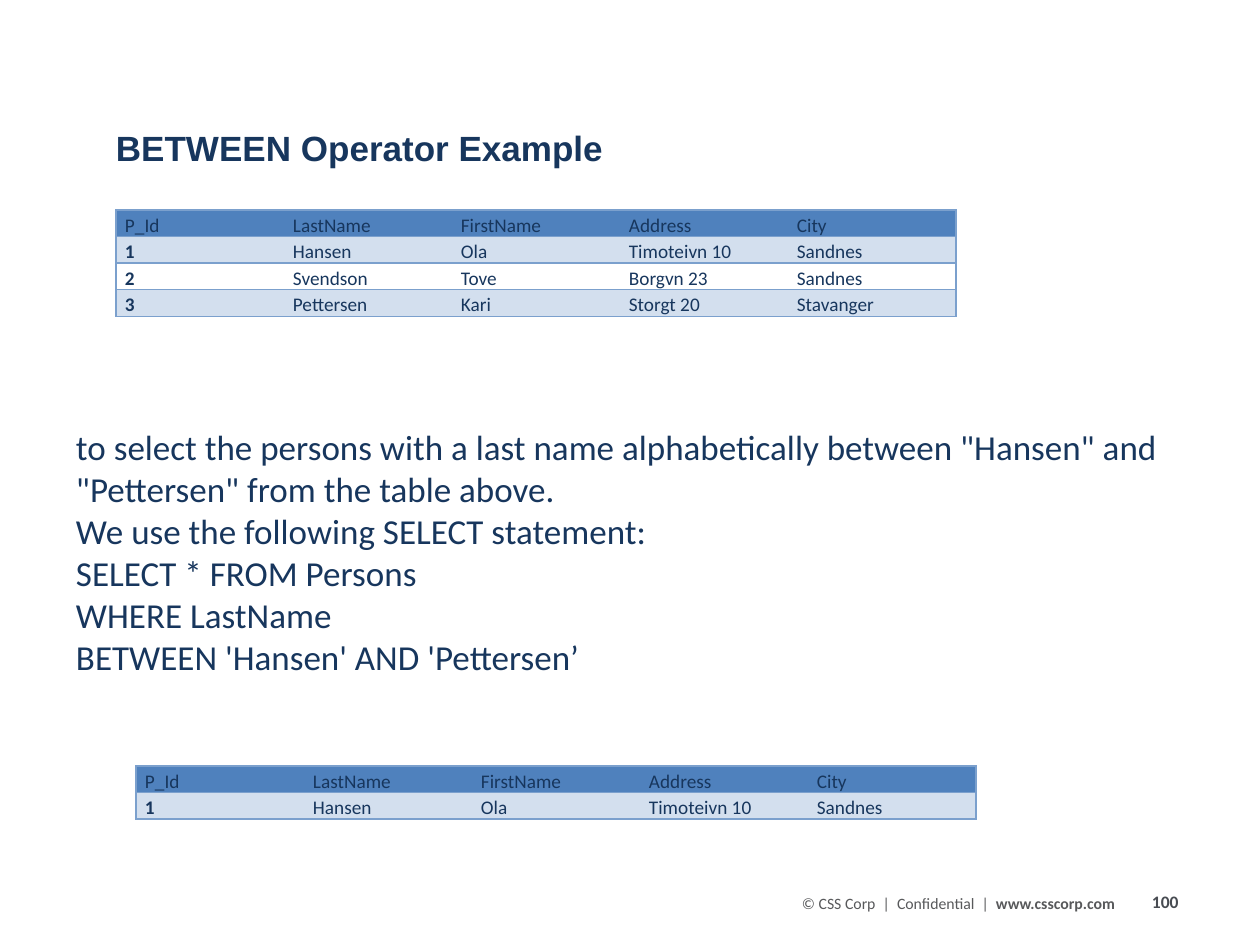
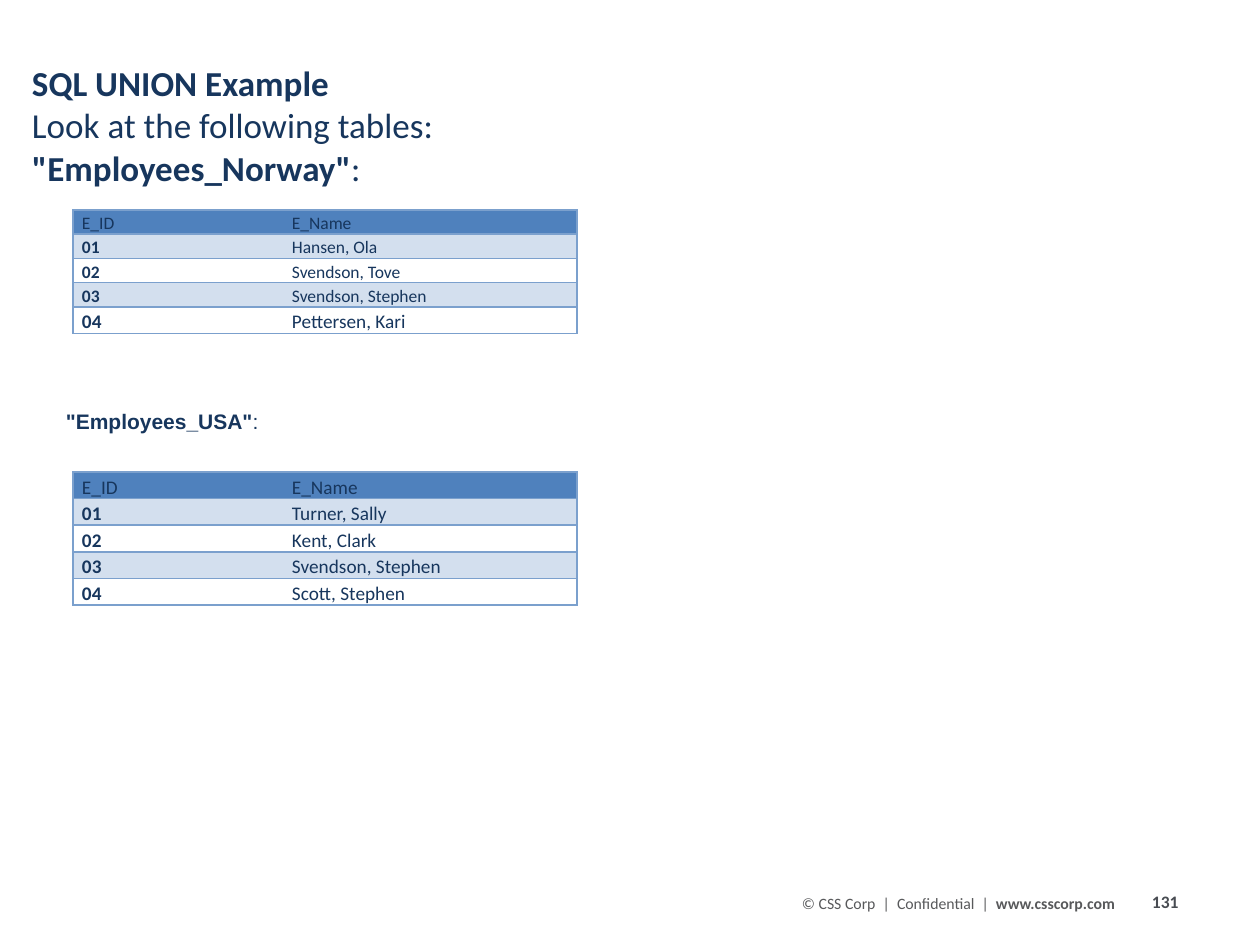
from lxml.etree import SubElement
from pptx import Presentation
from pptx.dml.color import RGBColor as Rgb
from pptx.enum.text import MSO_ANCHOR as Anchor
from pptx.oxml.ns import qn
from pptx.util import Emu, Pt

PX = 914400 / 126
COLORS = {
    "text": "17365D",
    "head": "4F81BD",
    "band": "D3DFEE",
    "rule": "7BA0CD",
    "footer": "58595B",
    "number": "484C52",
}
PERSONS = [
    ("P_Id", "LastName", "FirstName", "Address", "City"),
    ("1", "Hansen", "Ola", "Timoteivn 10", "Sandnes"),
    ("2", "Svendson", "Tove", "Borgvn 23", "Sandnes"),
    ("3", "Pettersen", "Kari", "Storgt 20", "Stavanger"),
]
EMPLOYEES_NORWAY = [
    ("E_ID", "E_Name"),
    ("01", "Hansen, Ola"),
    ("02", "Svendson, Tove"),
    ("03", "Svendson, Stephen"),
    ("04", "Pettersen, Kari"),
]
EMPLOYEES_USA = [
    ("E_ID", "E_Name"),
    ("01", "Turner, Sally"),
    ("02", "Kent, Clark"),
    ("03", "Svendson, Stephen"),
    ("04", "Scott, Stephen"),
]
PERSON_COLUMNS = [168] * 5
EMPLOYEE_COLUMNS = [210, 294]


def px(length):
    return Emu(round(length * PX))


class Deck:
    def __init__(self):
        self.deck = Presentation()
        self.deck.slide_width = px(1260)
        self.deck.slide_height = px(945)
        self.page = None

    def add_page(self, number):
        self.page = self.deck.slides.add_slide(self.deck.slide_layouts[6])
        self.text((1139, 885, 100, 34), [[(number, True)]],
                  size=10, color="number", anchor=Anchor.TOP)
        self.text((789, 888, 388, 31),
                  [[("© CSS Corp  |  Confidential  |  ", False), ("www.csscorp.com", True)]],
                  size=9, color="footer", anchor=Anchor.TOP)

    def span(self, para, words, bold, size, font="Calibri", color="text"):
        span = para.add_run()
        span.text = words
        formats = {"name": font, "size": Pt(size), "bold": bold}
        for name, value in formats.items():
            setattr(span.font, name, value)
        span.font.color.rgb = Rgb.from_string(COLORS[color])

    def text(self, place, paras, size=20, font="Calibri", color="text",
             anchor=Anchor.MIDDLE, inset=13):
        box = self.page.shapes.add_textbox(*map(px, place))
        frame = box.text_frame
        formats = {
            "word_wrap": True,
            "vertical_anchor": anchor,
            "margin_left": px(inset),
            "margin_right": px(inset),
            "margin_top": px(6),
            "margin_bottom": px(6),
        }
        for name, value in formats.items():
            setattr(frame, name, value)
        for index, spans in enumerate(paras):
            para = frame.add_paragraph() if index else frame.paragraphs[0]
            for words, bold in spans:
                for line, part in enumerate(words.split("\n")):
                    if line:
                        para.add_line_break()
                    self.span(para, part, bold, size, font, color)

    def borders(self, cell, sides):
        properties = cell._tc.get_or_add_tcPr()
        for side in "LRTB":
            line = SubElement(properties, qn(f"a:ln{side}"), w=str(Pt(1)))
            if side in sides:
                fill = SubElement(line, qn("a:solidFill"))
                SubElement(fill, qn("a:srgbClr"), val=COLORS["rule"])
            else:
                SubElement(line, qn("a:noFill"))

    def table(self, left, top, rows, columns, size=11, last_size=11):
        sizes = [size] * (len(rows) - 1) + [last_size]
        heights = [round(points * 2.4) for points in sizes]
        frame = self.page.shapes.add_table(
            len(rows), len(columns),
            *map(px, (left, top, sum(columns), sum(heights))))
        table = frame.table
        for column, width in zip(table.columns, columns):
            column.width = px(width)
        for r, values in enumerate(rows):
            table.rows[r].height = px(heights[r])
            for c, value in enumerate(values):
                sides = "TB" + "L" * (c == 0) + "R" * (c == len(columns) - 1)
                self.cell(table.cell(r, c), value, r, c, sizes[r], sides)

    def cell(self, cell, value, row, column, size, sides):
        formats = {
            "margin_left": px(9),
            "margin_right": px(9),
            "margin_top": 0,
            "margin_bottom": 0,
        }
        for name, amount in formats.items():
            setattr(cell, name, amount)
        self.borders(cell, sides)
        if row and row % 2 == 0:
            cell.fill.background()
        else:
            cell.fill.solid()
            cell.fill.fore_color.rgb = Rgb.from_string(COLORS["band" if row else "head"])
        para = cell.text_frame.paragraphs[0]
        para.line_spacing = 1.15
        self.span(para, value, row > 0 and column == 0, size)


def between_page(deck):
    deck.add_page("100")
    deck.text((116, 120, 557, 55), [[("BETWEEN Operator Example", True)]],
              font="Arial", inset=0)
    deck.table(116, 210, PERSONS, PERSON_COLUMNS)
    deck.text((63, 418, 1113, 267), [
        [('to select the persons with a last name alphabetically between '
          '"Hansen" and "Pettersen" from the table above.', False)],
        [("We use the following SELECT statement:", False)],
        [("SELECT * FROM Persons\nWHERE LastName\n"
          "BETWEEN 'Hansen' AND 'Pettersen’", False)],
    ])
    deck.table(136, 766, PERSONS[:2], PERSON_COLUMNS)


def union_page(deck):
    deck.add_page("131")
    deck.text((32, 55, 735, 140), [
        [("SQL UNION Example", True)],
        [("Look at the following tables:", False)],
        [('"Employees_Norway"', True), (":", False)],
    ], inset=0)
    deck.table(73, 210, EMPLOYEES_NORWAY, EMPLOYEE_COLUMNS, size=10)
    deck.text((53, 402, 315, 39), [[('"Employees_USA"', True), (":", False)]],
              size=12, font="Arial")
    deck.table(73, 472, EMPLOYEES_USA, EMPLOYEE_COLUMNS)


def main():
    deck = Deck()
    between_page(deck)
    union_page(deck)
    deck.deck.save("out.pptx")


if __name__ == "__main__":
    main()
